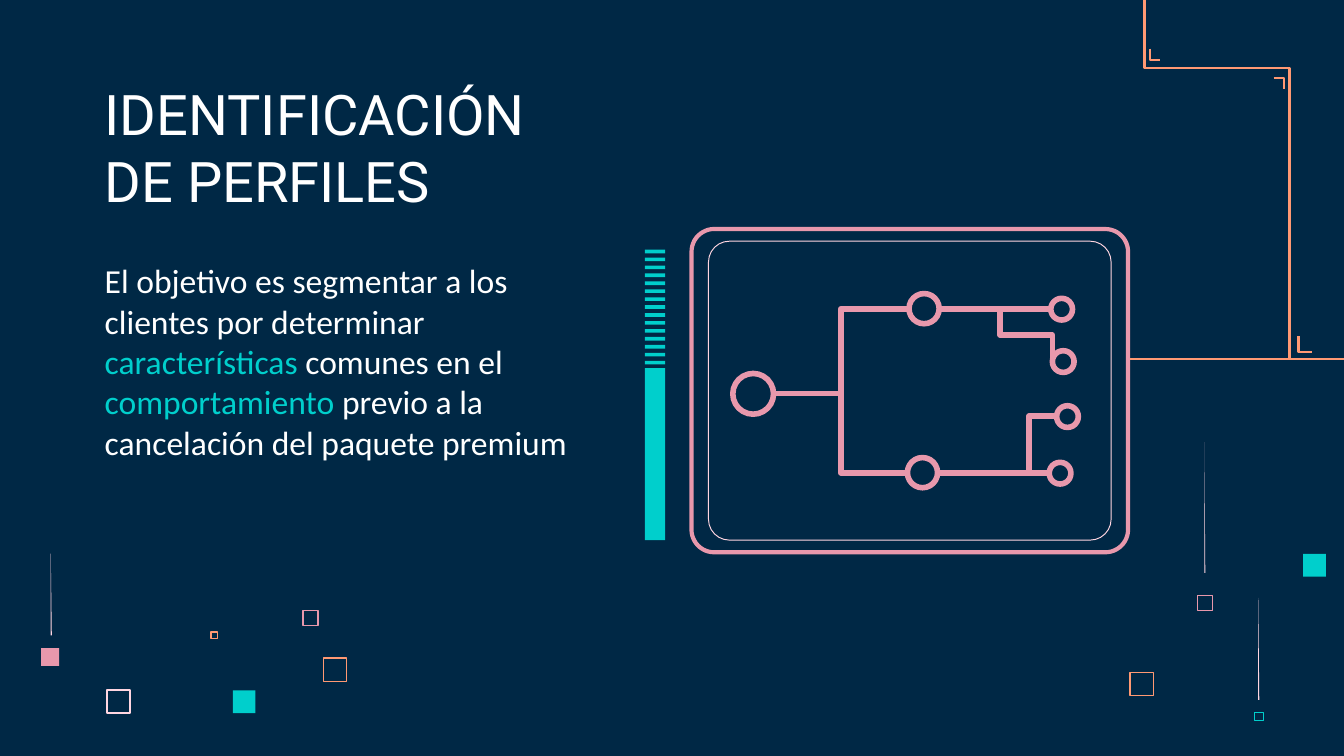
from lxml.etree import SubElement
from pptx import Presentation
from pptx.dml.color import RGBColor
from pptx.enum.shapes import MSO_CONNECTOR, MSO_SHAPE
from pptx.enum.text import MSO_ANCHOR, MSO_AUTO_SIZE, PP_ALIGN
from pptx.oxml.ns import qn
from pptx.util import Cm, Pt

COLORS = {
    "navy": "002845",
    "white": "FFFFFF",
    "teal": "00CFCC",
    "pink": "E898AC",
    "blush": "FFD6E1",
    "orange": "FF9973",
}


def color(name):
    return RGBColor.from_string(COLORS[name])


def style_shape(shape, fill=None, line=None, weight=0.75):
    shape.shadow.inherit = False
    if fill:
        shape.fill.solid()
        shape.fill.fore_color.rgb = color(fill)
    else:
        shape.fill.background()
    if line:
        shape.line.color.rgb = color(line)
        shape.line.width = Pt(weight)
    else:
        shape.line.fill.background()


def add_preset(slide, kind, left, top, width, height, **style):
    shape = slide.shapes.add_shape(kind, Cm(left), Cm(top), Cm(width), Cm(height))
    style_shape(shape, **style)
    return shape


def add_path(slide, points, closed=False, **style):
    corners = [(Cm(x), Cm(y)) for x, y in points]
    builder = slide.shapes.build_freeform(*corners[0], scale=1.0)
    builder.add_line_segments(corners[1:], close=closed)
    style_shape(builder.convert_to_shape(), **style)


def add_link(slide, kind, start, end, line, weight):
    ends = [Cm(value) for value in (*start, *end)]
    connector = slide.shapes.add_connector(kind, *ends)
    connector.line.color.rgb = color(line)
    connector.line.width = Pt(weight)
    SubElement(connector._element.spPr, qn("a:effectLst"))
    return connector


def write_text(shape, runs, font, size, anchor=MSO_ANCHOR.TOP):
    frame = shape.text_frame
    frame.word_wrap = True
    frame.auto_size = MSO_AUTO_SIZE.NONE
    frame.vertical_anchor = anchor
    frame.margin_left = frame.margin_right = Cm(0.25)
    frame.margin_top = frame.margin_bottom = Cm(0.25)
    paragraph = frame.paragraphs[0]
    paragraph.alignment = PP_ALIGN.LEFT
    for text, name in runs:
        run = paragraph.add_run()
        run.text = text
        run.font.name = font
        run.font.size = Pt(size)
        run.font.color.rgb = color(name)


def add_texts(slide):
    title = slide.shapes.title
    title.left, title.top = Cm(1.73), Cm(1.14)
    title.width, title.height = Cm(9.83), Cm(3.15)
    write_text(title, [("IDENTIFICACIÓN DE PERFILES", "white")], "Roboto", 30, MSO_ANCHOR.BOTTOM)
    body = slide.shapes.add_textbox(Cm(1.73), Cm(4.67), Cm(9.83), Cm(5.82))
    runs = [
        ("El objetivo es segmentar a los clientes por determinar ", "white"),
        ("características ", "teal"),
        ("comunes en el ", "white"),
        ("comportamiento ", "teal"),
        ("previo a la cancelación del paquete premium", "white"),
    ]
    write_text(body, runs, "Calibri", 18)


def add_squares(slide):
    outlined = [
        (2.02, 13.04, 0.44, "blush", 1),
        (5.73, 11.54, 0.28, "pink", 0.75),
        (3.99, 11.95, 0.12, "orange", 0.75),
        (6.11, 12.44, 0.44, "orange", 0.75),
        (21.36, 12.71, 0.44, "orange", 0.75),
        (22.63, 11.26, 0.28, "pink", 0.25),
        (23.71, 13.46, 0.16, "teal", 0.25),
    ]
    for left, top, side, name, weight in outlined:
        add_preset(slide, MSO_SHAPE.RECTANGLE, left, top, side, side, line=name, weight=weight)
    solid = [
        (4.4, 13.05, 0.43, "teal"),
        (0.78, 12.25, 0.34, "pink"),
        (24.63, 10.47, 0.43, "teal"),
    ]
    for left, top, side, name in solid:
        add_preset(slide, MSO_SHAPE.RECTANGLE, left, top, side, side, fill=name)


def add_trails(slide):
    for x, top, bottom in [(22.76, 8.36, 10.83), (0.96, 10.46, 12.01), (23.78, 11.3, 13.23)]:
        add_path(slide, [(x, top), (x, bottom), (x + 0.02, bottom)], closed=True, fill="blush")


def add_circuit(slide):
    add_link(slide, MSO_CONNECTOR.STRAIGHT, (21.36, 6.79), (25.4, 6.79), "orange", 1.25)
    traces = [
        [(21.63, 0), (21.63, 1.28), (24.37, 1.28), (24.37, 6.79)],
        [(24.54, 6.36), (24.54, 6.65), (24.8, 6.65)],
        [(24.07, 1.47), (24.27, 1.47), (24.27, 1.69)],
        [(21.73, 0.92), (21.73, 1.13), (21.93, 1.13)],
    ]
    for points in traces:
        add_path(slide, points, line="orange", weight=1.25)


def add_panel(slide):
    frames = [
        (13.07, 4.33, 8.25, 6.11, "pink", 2.25),
        (13.39, 4.56, 7.61, 5.65, "blush", 0.5),
    ]
    for left, top, width, height, name, weight in frames:
        frame = add_preset(slide, MSO_SHAPE.ROUNDED_RECTANGLE, left, top, width, height,
                           line=name, weight=weight)
        frame.adjustments[0] = 0.07


def add_meter(slide):
    left, width = 12.19, 0.38
    for index in range(15):
        add_preset(slide, MSO_SHAPE.RECTANGLE, left, 4.72 + 0.15 * index, width, 0.07, fill="teal")
    add_preset(slide, MSO_SHAPE.RECTANGLE, left, 6.96, width, 3.25, fill="teal")


def add_tree(slide):
    straight, elbow = MSO_CONNECTOR.STRAIGHT, MSO_CONNECTOR.ELBOW
    links = [
        (elbow, (14.58, 7.44), (17.2, 5.84)),
        (elbow, (14.58, 7.44), (17.2, 8.94)),
        (straight, (17.73, 5.84), (19.89, 5.84)),
        (straight, (17.7, 8.94), (19.86, 8.94)),
        (elbow, (18.87, 8.94), (20.02, 7.87)),
    ]
    for kind, start, end in links:
        add_link(slide, kind, start, end, "pink", 3)
    drop = add_link(slide, elbow, (19.89, 5.84), (18.9, 6.83), "pink", 3)
    drop._element.spPr.find(qn("a:xfrm")).set("rot", str(270 * 60000))
    nodes = [
        (13.85, 7.06, 0.77),
        (17.18, 5.55, 0.57),
        (17.15, 8.65, 0.57),
        (19.86, 5.64, 0.41),
        (19.89, 6.63, 0.41),
        (19.97, 7.67, 0.41),
        (19.83, 8.74, 0.41),
    ]
    for left, top, diameter in nodes:
        add_preset(slide, MSO_SHAPE.OVAL, left, top, diameter, diameter, line="pink", weight=3)


def main():
    presentation = Presentation()
    presentation.slide_width, presentation.slide_height = Cm(25.4), Cm(14.29)
    slide = presentation.slides.add_slide(presentation.slide_layouts[5])
    slide.background.fill.solid()
    slide.background.fill.fore_color.rgb = color("navy")
    add_squares(slide)
    add_trails(slide)
    add_texts(slide)
    add_panel(slide)
    add_meter(slide)
    add_circuit(slide)
    add_tree(slide)
    presentation.save("out.pptx")


if __name__ == "__main__":
    main()
